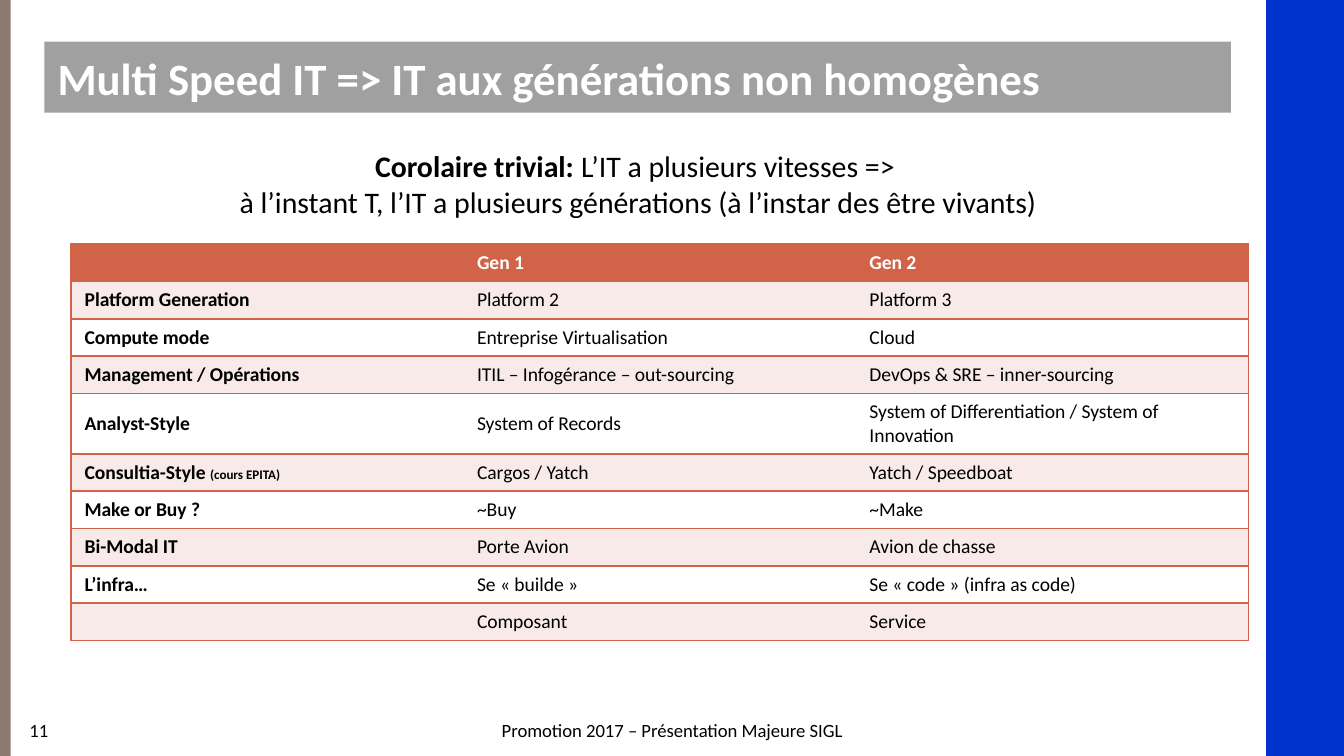
from lxml.etree import SubElement
from pptx import Presentation
from pptx.dml.color import RGBColor
from pptx.enum.shapes import MSO_SHAPE
from pptx.enum.text import MSO_ANCHOR, PP_ALIGN
from pptx.oxml.ns import qn
from pptx.util import Inches, Pt

WIDTH = Inches(10)
HEIGHT = WIDTH * 9 // 16
COLUMN = WIDTH / 100
ROW = HEIGHT / 100

BLUE = RGBColor(0x00, 0x33, 0xCC)
BROWN = RGBColor(0x8C, 0x7B, 0x70)
GREY = RGBColor(0xA0, 0xA0, 0xA0)
RUST = RGBColor(0xD1, 0x63, 0x49)
BLUSH = RGBColor(0xF7, 0xEA, 0xE9)
WHITE = RGBColor(0xFF, 0xFF, 0xFF)
BLACK = RGBColor(0x00, 0x00, 0x00)

GENERATIONS = [
    ("", "Gen 1", "Gen 2"),
    ("Platform Generation", "Platform 2", "Platform 3"),
    ("Compute mode", "Entreprise Virtualisation", "Cloud"),
    ("Management / Opérations", "ITIL – Infogérance – out-sourcing",
     "DevOps & SRE – inner-sourcing"),
    ("Analyst-Style", "System of Records",
     "System of Differentiation / System of Innovation"),
    ("Consultia-Style |(cours EPITA)", "Cargos / Yatch", "Yatch / Speedboat"),
    ("Make or Buy ?", "~Buy", "~Make"),
    ("Bi-Modal IT", "Porte Avion", "Avion de chasse"),
    ("L’infra…", "Se « builde »", "Se « code » (infra as code)"),
    ("", "Composant", "Service"),
]
TALL_ROW = 4


def grid(left, top, width, height):
    return (round(left * COLUMN), round(top * ROW),
            round(width * COLUMN), round(height * ROW))


def style(paragraph, size, color=BLACK, bold=False, align=PP_ALIGN.LEFT):
    paragraph.alignment = align
    font = paragraph.font
    font.name = "Calibri"
    font.size = Pt(size)
    font.bold = bold
    font.color.rgb = color


def add_band(slide, area, color):
    band = slide.shapes.add_shape(MSO_SHAPE.RECTANGLE, *grid(*area))
    band.shadow.inherit = False
    band.fill.solid()
    band.fill.fore_color.rgb = color
    band.line.fill.background()
    return band


def add_label(slide, area, text, **look):
    label = slide.shapes.add_textbox(*grid(*area))
    frame = label.text_frame
    frame.word_wrap = True
    frame.vertical_anchor = MSO_ANCHOR.MIDDLE
    frame.text = text
    style(frame.paragraphs[0], **look)


def add_title(slide, area, text):
    frame = add_band(slide, area, GREY).text_frame
    frame.word_wrap = True
    frame.vertical_anchor = MSO_ANCHOR.MIDDLE
    frame.text = text
    style(frame.paragraphs[0], 24, WHITE, True)


def add_corollary(slide, area, lead, first_line, second_line):
    frame = slide.shapes.add_textbox(*grid(*area)).text_frame
    frame.word_wrap = False
    paragraph = frame.paragraphs[0]
    style(paragraph, 16, align=PP_ALIGN.CENTER)
    lead_run = paragraph.add_run()
    lead_run.text = lead
    lead_run.font.bold = True
    paragraph.add_run().text = first_line
    paragraph.add_line_break()
    paragraph.add_run().text = second_line


def add_border(cell, side, color):
    border = SubElement(cell._tc.get_or_add_tcPr(), qn(f"a:ln{side}"), w=str(Pt(1)))
    if color is None:
        SubElement(border, qn("a:noFill"))
    else:
        fill = SubElement(border, qn("a:solidFill"))
        SubElement(fill, qn("a:srgbClr"), val=str(color))


def fill_cell(cell, text, row, column, last_column):
    header = row == 0
    add_border(cell, "L", RUST if column == 0 else None)
    add_border(cell, "R", RUST if column == last_column else None)
    add_border(cell, "T", RUST)
    add_border(cell, "B", RUST)
    cell.fill.solid()
    cell.fill.fore_color.rgb = RUST if header else (BLUSH if row % 2 else WHITE)
    cell.vertical_anchor = MSO_ANCHOR.MIDDLE
    paragraph = cell.text_frame.paragraphs[0]
    style(paragraph, 10.5, WHITE if header else BLACK, header or column == 0)
    main_text, _, small_text = text.partition("|")
    if main_text:
        paragraph.add_run().text = main_text
    if small_text:
        aside = paragraph.add_run()
        aside.text = small_text
        aside.font.size = Pt(7)


def add_generations(slide, area, rows):
    last_column = len(rows[0]) - 1
    table = slide.shapes.add_table(len(rows), len(rows[0]), *grid(*area)).table
    table.horz_banding = False
    for row, texts in enumerate(rows):
        table.rows[row].height = Inches(0.45) if row == TALL_ROW else Pt(20)
        for column, text in enumerate(texts):
            fill_cell(table.cell(row, column), text, row, column, last_column)


def main():
    deck = Presentation()
    deck.slide_width, deck.slide_height = WIDTH, HEIGHT
    slide = deck.slides.add_slide(deck.slide_layouts[6])
    add_band(slide, (94.2, 0, 5.8, 100), BLUE)
    add_band(slide, (0, 0, 0.8, 100), BROWN)
    add_title(slide, (3.3, 5.5, 88.3, 9.4),
              "Multi Speed IT => IT aux générations non homogènes")
    add_label(slide, (1.2, 94.4, 10.8, 4.44), "11", size=10)
    add_label(slide, (29.6, 94.4, 40.8, 4.44),
              "Promotion 2017 – Présentation Majeure SIGL",
              size=10, align=PP_ALIGN.CENTER)
    add_generations(slide, (5.3, 32.3, 87.6, 52.5), GENERATIONS)
    add_corollary(slide, (16.5, 18.67, 62, 11.38), "Corolaire trivial: ",
                  "L’IT a plusieurs vitesses => ",
                  "à l’instant T, l’IT a plusieurs générations (à l’instar des être vivants)")
    deck.save("out.pptx")


if __name__ == "__main__":
    main()
